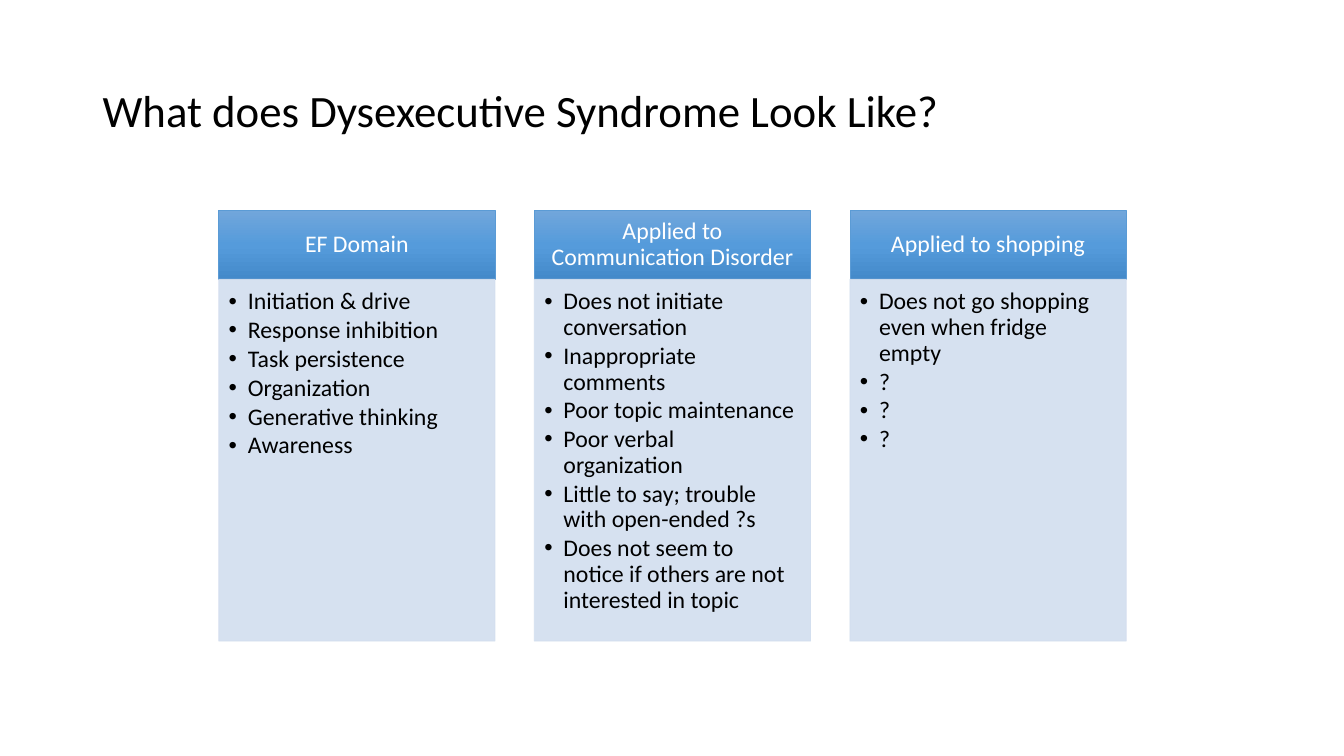
from copy import deepcopy

from lxml import etree
from pptx import Presentation
from pptx.dml.color import RGBColor
from pptx.enum import shapes, text
from pptx.oxml import ns
from pptx.util import Inches, Pt

BLACK = RGBColor(0x00, 0x00, 0x00)
WHITE = RGBColor(0xFF, 0xFF, 0xFF)
HEADER_LINE = RGBColor(0x5B, 0x9B, 0xD5)
HEADER_STOPS = [
    (0, RGBColor(0x71, 0xA6, 0xDB)),
    (0.5, RGBColor(0x55, 0x9B, 0xDB)),
    (1, RGBColor(0x44, 0x8A, 0xCA)),
]
BODY_FILL = RGBColor(0xD2, 0xDE, 0xEF)

COLUMNS = [
    ("EF Domain", [
        "Initiation & drive", "Response inhibition", "Task persistence",
        "Organization", "Generative thinking", "Awareness"]),
    ("Applied to Communication Disorder", [
        "Does not initiate conversation", "Inappropriate comments",
        "Poor topic maintenance", "Poor verbal organization",
        "Little to say; trouble with open-ended ?s",
        "Does not seem to notice if others are not interested in topic"]),
    ("Applied to shopping", [
        "Does not go shopping even when fridge empty", "?", "?", "?"]),
]
LEFT, PITCH, WIDTH = 2.17, 3.13, 2.74
HEADER_TOP, HEADER_HEIGHT = 2.09, 0.68
BODY_TOP, BODY_HEIGHT = 2.77, 3.59


class SlideBuilder:
    font = "Calibri"
    text_size = 17
    title_size = 32
    line_spacing = 0.9

    def __init__(self, page):
        self.page = page

    def set_frame(self, box, insets, anchor):
        """Set wrapping, anchor and insets (left, top, right, bottom)."""
        frame = box.text_frame
        frame.word_wrap = True
        frame.vertical_anchor = anchor
        (frame.margin_left, frame.margin_top,
         frame.margin_right, frame.margin_bottom) = map(Inches, insets)
        return frame

    def add_words(self, para, words, size, color, align=text.PP_ALIGN.LEFT):
        para.alignment = align
        para.line_spacing = self.line_spacing
        span = para.add_run()
        span.text = words
        span.font.name = self.font
        span.font.size = Pt(size)
        span.font.color.rgb = color

    def rectangle(self, left, top, width, height, line_color):
        box = self.page.shapes.add_shape(
            shapes.MSO_SHAPE.RECTANGLE,
            Inches(left), Inches(top), Inches(width), Inches(height))
        box.shadow.inherit = False
        box.line.color.rgb = line_color
        box.line.width = Pt(0.5)
        return box

    def title(self, words):
        box = self.page.shapes.add_textbox(
            Inches(0.92), Inches(0.4), Inches(11.5), Inches(1.45))
        frame = self.set_frame(box, (0.1, 0.05, 0.1, 0.05), text.MSO_ANCHOR.MIDDLE)
        self.add_words(frame.paragraphs[0], words, self.title_size, BLACK)

    def header(self, left, words):
        box = self.rectangle(left, HEADER_TOP, WIDTH, HEADER_HEIGHT, HEADER_LINE)
        box.fill.gradient()
        box.fill.gradient_angle = 270
        stop_list = next(box._element.spPr.iter(ns.qn("a:gsLst")))
        stop_list.insert(1, deepcopy(stop_list[0]))
        for stop, (position, color) in zip(box.fill.gradient_stops, HEADER_STOPS):
            stop.position = position
            stop.color.rgb = color
        frame = self.set_frame(box, (0.13, 0.08, 0.13, 0.08), text.MSO_ANCHOR.MIDDLE)
        self.add_words(frame.paragraphs[0], words, self.text_size, WHITE,
                       text.PP_ALIGN.CENTER)

    def body(self, left, items):
        box = self.rectangle(left, BODY_TOP, WIDTH, BODY_HEIGHT, BODY_FILL)
        box.fill.solid()
        box.fill.fore_color.rgb = BODY_FILL
        for color in box._element.spPr.iter(ns.qn("a:srgbClr")):
            etree.SubElement(color, ns.qn("a:alpha"), val="90000")
        frame = self.set_frame(box, (0.1, 0.1, 0.13, 0.15), text.MSO_ANCHOR.TOP)
        for index, item in enumerate(items):
            para = frame.add_paragraph() if index else frame.paragraphs[0]
            self.bullet(para)
            para.space_after = Pt(2.2)
            self.add_words(para, item, self.text_size, BLACK)

    def bullet(self, para):
        props = para._p.get_or_add_pPr()
        props.set("marL", str(Inches(0.19)))
        props.set("indent", str(-Inches(0.19)))
        etree.SubElement(props, ns.qn("a:buFont"), typeface="Arial")
        etree.SubElement(props, ns.qn("a:buChar"), char="•")


def main():
    deck = Presentation()
    deck.slide_width, deck.slide_height = Inches(13.33), Inches(7.5)
    builder = SlideBuilder(deck.slides.add_slide(deck.slide_layouts[6]))
    builder.title("What does Dysexecutive Syndrome Look Like?")
    for index, (heading, items) in enumerate(COLUMNS):
        left = LEFT + index * PITCH
        builder.header(left, heading)
        builder.body(left, items)
    deck.save("out.pptx")


if __name__ == "__main__":
    main()
